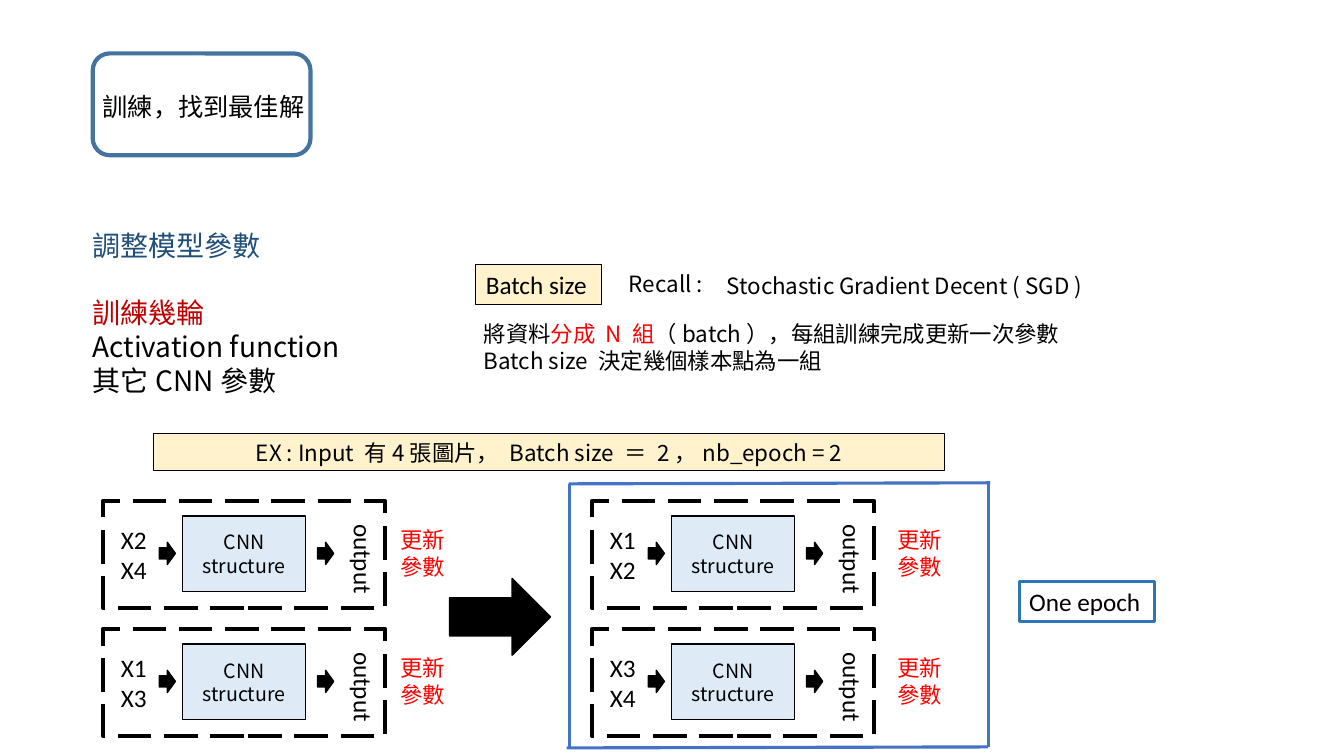
from lxml.etree import SubElement
from pptx import Presentation
from pptx.dml.color import RGBColor
from pptx.enum.dml import MSO_LINE
from pptx.enum.shapes import MSO_CONNECTOR, MSO_SHAPE
from pptx.enum.text import PP_ALIGN
from pptx.oxml.ns import qn
from pptx.util import Inches, Pt

BLACK = RGBColor(0x00, 0x00, 0x00)
WHITE = RGBColor(0xFF, 0xFF, 0xFF)
RED = RGBColor(0xFF, 0x00, 0x00)
DARK_RED = RGBColor(0xC0, 0x00, 0x00)
NAVY = RGBColor(0x1F, 0x4E, 0x79)
STEEL = RGBColor(0x43, 0x73, 0x9E)
CREAM = RGBColor(0xFF, 0xF2, 0xCC)
PALE_BLUE = RGBColor(0xDE, 0xEB, 0xF7)
FRAME_BLUE = RGBColor(0x44, 0x72, 0xC4)
EPOCH_BLUE = RGBColor(0x2E, 0x75, 0xB6)
NOTO = "Noto Sans CJK JP"
CALIBRI = "Calibri"

prs = Presentation()
prs.slide_width = Inches(13.33)
prs.slide_height = Inches(7.5)
slide = prs.slides.add_slide(prs.slide_layouts[6])
shapes = slide.shapes


def add_box(kind, left, top, width, height, fill, line, weight):
    box = shapes.add_shape(kind, Inches(left), Inches(top), Inches(width), Inches(height))
    box.shadow.inherit = False
    if fill is None:
        box.fill.background()
    else:
        box.fill.solid()
        box.fill.fore_color.rgb = fill
    box.line.color.rgb = line
    box.line.width = Pt(weight)
    return box


def write(place, paragraphs, size, font=NOTO, align=PP_ALIGN.LEFT):
    if isinstance(place, tuple):
        place = shapes.add_textbox(*[Inches(value) for value in place])
    frame = place.text_frame
    frame.word_wrap = True
    for index, runs in enumerate(paragraphs):
        paragraph = frame.paragraphs[0] if index == 0 else frame.add_paragraph()
        paragraph.alignment = align
        if font == NOTO:
            paragraph.line_spacing = Pt(size * 1.2)
        for text, color in runs:
            run = paragraph.add_run()
            run.text = text
            run.font.size = Pt(size)
            run.font.color.rgb = color
            run.font.name = font
            SubElement(run.font._element, qn("a:ea")).set("typeface", font)
    return frame


add_box(MSO_SHAPE.ROUNDED_RECTANGLE, 0.92, 0.53, 2.16, 1.01, WHITE, STEEL, 3)
title = write((0.92, 0.86, 2.22, 0.71), [[("訓練，找到最佳解", BLACK)]], 18)
title.word_wrap = False

topics = write((0.82, 2.22, 2.76, 2.09), [
    [("調整模型參數", NAVY)],
    [("訓練幾輪", DARK_RED)],
    [("Activation function", BLACK)],
    [("其它CNN參數", BLACK)],
], 20)
topics.paragraphs[1].space_before = Pt(24)

batch_size = add_box(MSO_SHAPE.RECTANGLE, 4.72, 2.62, 1.25, 0.4, CREAM, BLACK, 0.75)
write(batch_size, [[("Batch size", BLACK)]], 18, CALIBRI)
write((6.14, 2.63, 6.16, 0.4), [[("Recall :", BLACK)]], 16)
sgd = add_box(MSO_SHAPE.RECTANGLE, 7.11, 2.65, 4.13, 0.37, WHITE, WHITE, 0.75)
write(sgd, [[("Stochastic Gradient Decent ( SGD )", BLACK)]], 16)
write((4.7, 3.13, 7.79, 0.91), [
    [("將資料", BLACK), ("分成 N 組", RED), ("（batch），每組訓練完成更新一次參數", BLACK)],
    [("Batch size 決定幾個樣本點為一組", BLACK)],
], 16)

example = add_box(MSO_SHAPE.RECTANGLE, 1.52, 4.3, 7.85, 0.37, CREAM, BLACK, 0.75)
write(example, [[("EX : Input 有4張圖片，", BLACK),
                 (" Batch size ＝ 2，nb_epoch = 2", BLACK)]], 16, align=PP_ALIGN.CENTER)

epochs = [
    (1.02, 2.85, [("X2", "X4"), ("X1", "X3")]),
    (5.87, 2.93, [("X1", "X2"), ("X3", "X4")]),
]
for left, update_offset, batches in epochs:
    for row, batch in enumerate(batches):
        top = 4.97 + 1.27 * row
        step = add_box(MSO_SHAPE.RECTANGLE, left, top, 2.8, 1.06, WHITE, BLACK, 3)
        step.line.dash_style = MSO_LINE.LONG_DASH
        structure = add_box(MSO_SHAPE.RECTANGLE, left + 0.79, top + 0.15, 1.22, 0.75,
                            PALE_BLUE, BLACK, 1)
        write(structure, [[("CNN structure", BLACK)]], 14, align=PP_ALIGN.CENTER)
        write((left + 0.08, top + 0.18, 0.63, 0.71),
              [[(sample, BLACK)] for sample in batch], 18, CALIBRI)
        output = write((left + 2.29, top + 0.13, 0.5, 0.92), [[("output", BLACK)]], 18, CALIBRI)
        output._txBody.bodyPr.set("vert", "eaVert")
        for arrow_offset in (0.56, 2.13):
            add_box(MSO_SHAPE.RIGHT_ARROW, left + arrow_offset, top + 0.41, 0.16, 0.22,
                    BLACK, BLACK, 1)
        write((left + update_offset, top + 0.2, 0.86, 0.64), [[("更新參數", RED)]], 16)

add_box(MSO_SHAPE.RIGHT_ARROW, 4.46, 5.74, 1, 0.76, BLACK, BLACK, 1)

epoch_sides = [
    (5.64, 4.8, 9.82, 4.79),
    (5.62, 7.42, 9.8, 7.41),
    (5.65, 4.8, 5.65, 7.42),
    (9.8, 4.79, 9.8, 7.41),
]
for side in epoch_sides:
    edge = shapes.add_connector(MSO_CONNECTOR.STRAIGHT, *[Inches(value) for value in side])
    edge.line.color.rgb = FRAME_BLUE
    edge.line.width = Pt(2.25)
    SubElement(edge._element.spPr, qn("a:effectLst"))

one_epoch = add_box(MSO_SHAPE.RECTANGLE, 10.11, 5.77, 1.34, 0.4, None, EPOCH_BLUE, 2.25)
write(one_epoch, [[("One epoch", BLACK)]], 18, CALIBRI)

prs.save("out.pptx")
